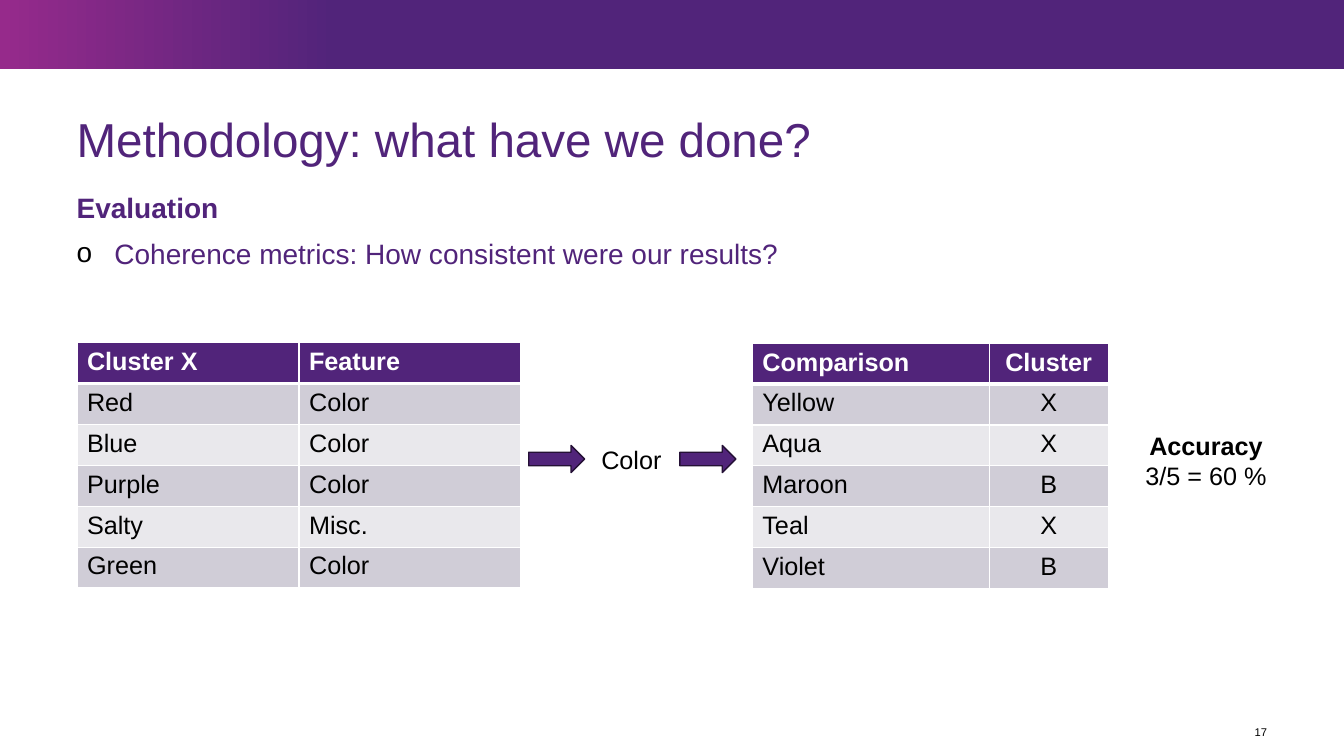
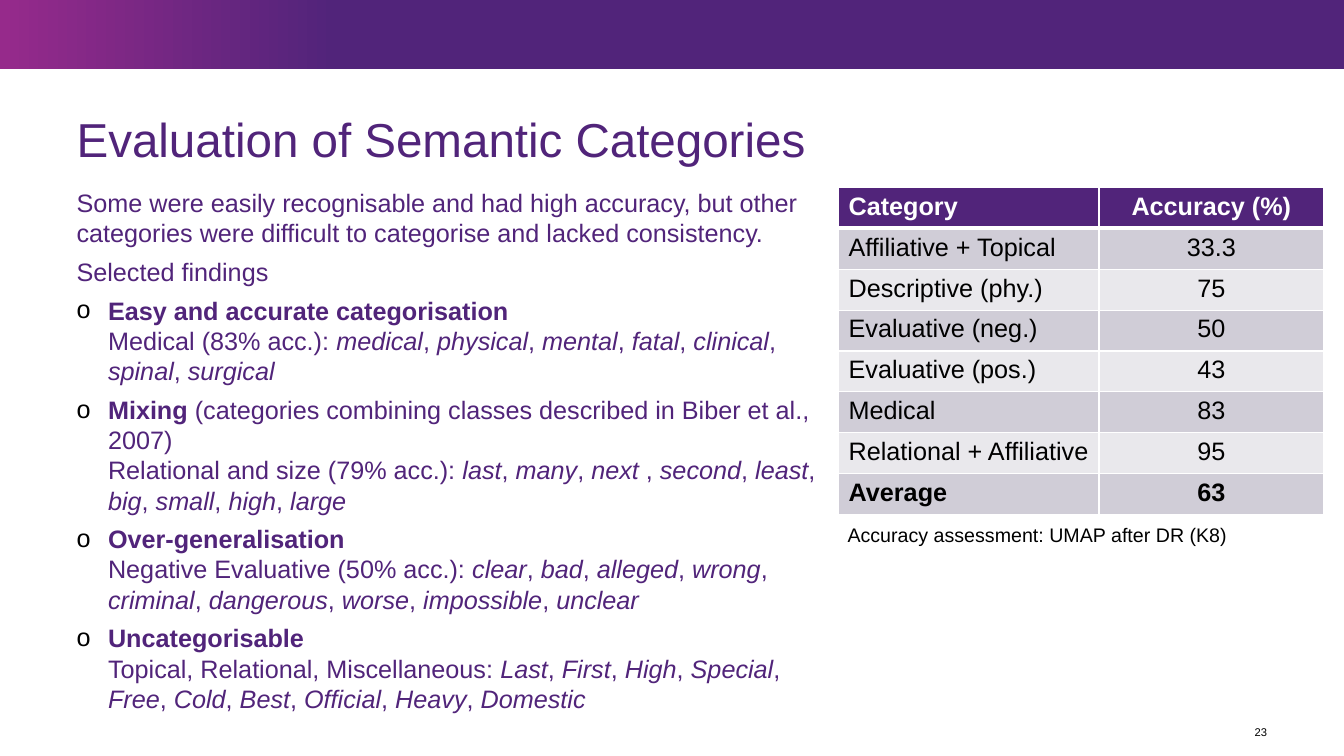
from lxml.etree import SubElement
from pptx import Presentation
from pptx.dml.color import RGBColor
from pptx.enum.shapes import MSO_SHAPE
from pptx.enum.text import MSO_ANCHOR, PP_ALIGN
from pptx.oxml.ns import qn
from pptx.util import Pt

FONT = "Arial"
PURPLE, PINK, EDGE = "51247A", "962A8B", "241035"
BLACK, WHITE = "000000", "FFFFFF"
BANDS = "D0CDD7", "E9E8EC"
LEFT, WIDTH, TOP = 54.7, 850.3, 133.9
ROW = 29.2


def hue(code):
    return RGBColor.from_string(code)


def apply(thing, values):
    for name, value in values.items():
        setattr(thing, name, value)


def add_runs(para, text, size, color, bold=False):
    for i, chunk in enumerate(text.split("*")):
        for j, part in enumerate(chunk.split("_")):
            for k, line in enumerate(part.split("\n")):
                if k:
                    para.add_line_break()
                if not line:
                    continue
                run = para.add_run()
                run.text = line
                apply(run.font, {"name": FONT, "size": Pt(size),
                                 "bold": bold or i % 2 == 1, "italic": j % 2 == 1})
                run.font.color.rgb = hue(color)


def add_bullet(para, hang):
    props = para._p.get_or_add_pPr()
    props.set("marL", str(Pt(hang)))
    props.set("indent", str(-Pt(hang)))
    tint = SubElement(props, qn("a:buClr"))
    SubElement(tint, qn("a:srgbClr"), val=BLACK)
    SubElement(props, qn("a:buFont"), typeface=FONT)
    SubElement(props, qn("a:buChar"), char="o")


def add_text(slide, box, lines, size=18, color=BLACK, inset=(0, 0), hang=0,
             gap=0, anchor=MSO_ANCHOR.TOP, **style):
    frame = slide.shapes.add_textbox(*map(Pt, box)).text_frame
    side, edge = map(Pt, inset)
    apply(frame, {"word_wrap": True, "vertical_anchor": anchor,
                  "margin_left": side, "margin_right": side,
                  "margin_top": edge, "margin_bottom": edge})
    for i, line in enumerate(lines):
        para = frame.add_paragraph() if i else frame.paragraphs[0]
        if line.startswith("- "):
            add_bullet(para, hang)
            line = line[2:]
        apply(para, {"space_before": Pt(gap if i else 0),
                     "space_after": Pt(gap), **style})
        add_runs(para, line, size, color)


def add_body(slide, width, lines, **style):
    add_text(slide, (LEFT, TOP, width, 398), lines, color=PURPLE, gap=3, **style)


def add_note(slide, box, lines, **style):
    add_text(slide, box, lines, inset=(7.2, 3.6), **style)


def add_arrow(slide, left):
    box = map(Pt, (left, 318.2, 39.9, 19.4))
    arrow = slide.shapes.add_shape(MSO_SHAPE.RIGHT_ARROW, *box)
    arrow.shadow.inherit = False
    arrow.fill.solid()
    arrow.fill.fore_color.rgb = hue(PURPLE)
    arrow.line.color.rgb = hue(EDGE)
    arrow.line.width = Pt(1)


def add_edges(cell, top, base):
    props = cell._tc.get_or_add_tcPr()
    for side, width in zip("LRTB", (1, 1, top, base)):
        edge = SubElement(props, qn("a:ln" + side), w=str(Pt(width)))
        fill = SubElement(edge, qn("a:solidFill"))
        SubElement(fill, qn("a:srgbClr"), val=WHITE)


def add_grid(slide, left, top, widths, rows, head=ROW, aligns=(PP_ALIGN.LEFT, PP_ALIGN.CENTER)):
    high = head + ROW * (len(rows) - 1)
    box = map(Pt, (left, top, sum(widths), high))
    grid = slide.shapes.add_table(len(rows), len(widths), *box).table
    grid.horz_banding = False
    for col, width in zip(grid.columns, widths):
        col.width = Pt(width)
    for i, row in enumerate(rows):
        grid.rows[i].height = Pt(ROW if i else head)
        for j, text in enumerate(row):
            cell = grid.cell(i, j)
            add_edges(cell, 3 if i == 1 else 1, 1 if i else 3)
            cell.fill.solid()
            cell.fill.fore_color.rgb = hue(BANDS[(i - 1) % 2] if i else PURPLE)
            para = cell.text_frame.paragraphs[0]
            para.alignment = aligns[j]
            add_runs(para, text, 18, BLACK if i else WHITE, bold=not i)


def add_band(slide):
    band = slide.shapes.add_shape(MSO_SHAPE.RECTANGLE, 0, 0, Pt(960), Pt(49.5))
    band.shadow.inherit = False
    band.line.fill.background()
    band.fill.gradient()
    band.fill.gradient_angle = 0
    for stop, place, code in zip(band.fill.gradient_stops, (0, 0.25), (PINK, PURPLE)):
        stop.color.rgb = hue(code)
        stop.position = place


def add_page(deck, title, number):
    slide = deck.slides.add_slide(deck.slide_layouts[6])
    add_band(slide)
    add_text(slide, (LEFT, 82.8, WIDTH, 36.7), [title], size=34, color=PURPLE,
             anchor=MSO_ANCHOR.MIDDLE, line_spacing=0.9)
    add_text(slide, (882.7, 513.4, 22.3, 18.7), [number], size=8,
             anchor=MSO_ANCHOR.MIDDLE, alignment=PP_ALIGN.RIGHT)
    return slide


def add_method(deck):
    slide = add_page(deck, "Methodology: what have we done?", "17")
    add_body(slide, WIDTH, [
        "*Evaluation*",
        "- Coherence metrics: How consistent were our results?",
    ], size=20, hang=27, line_spacing=1.1)
    add_grid(slide, 55, 244.8, (158.6, 158.6), [
        ("Cluster X", "Feature"),
        ("Red", "Color"),
        ("Blue", "Color"),
        ("Purple", "Color"),
        ("Salty", "Misc."),
        ("Green", "Color"),
    ], aligns=(PP_ALIGN.LEFT, PP_ALIGN.LEFT))
    for left in (377.7, 485.7):
        add_arrow(slide, left)
    add_note(slide, (422.4, 314, 73.4, 29), ["Color"])
    add_grid(slide, 537.4, 245.5, (169.2, 85), [
        ("Comparison", "Cluster"),
        ("Yellow", "X"),
        ("Aqua", "X"),
        ("Maroon", "B"),
        ("Teal", "X"),
        ("Violet", "B"),
    ], head=28)
    add_note(slide, (795.2, 303.8, 132.5, 51), ["*Accuracy*\n3/5 = 60 %"],
             alignment=PP_ALIGN.CENTER)


def add_result(deck):
    slide = add_page(deck, "Evaluation of Semantic Categories", "23")
    add_body(slide, 532.8, [
        "Some were easily recognisable and had high accuracy, but other categories "
        "were difficult to categorise and lacked consistency.",
        "Selected findings",
        "- *Easy and accurate categorisation*\nMedical (83% acc.): _medical_, _physical_, "
        "_mental_, _fatal_, _clinical_, _spinal_, _surgical_",
        "- *Mixing* (categories combining classes described in Biber et al., 2007)\n"
        "Relational and size (79% acc.): _last_, _many_, _next_ , _second_, _least_, "
        "_big_, _small_, _high_, _large_",
        "- *Over-generalisation*\nNegative Evaluative (50% acc.): _clear_, _bad_, "
        "_alleged_, _wrong_, _criminal_, _dangerous_, _worse_, _impossible_, _unclear_",
        "- *Uncategorisable*\nTopical, Relational, Miscellaneous: _Last_, _First_, "
        "_High_, _Special_, _Free_, _Cold_, _Best_, _Official_, _Heavy_, _Domestic_",
    ], hang=22.5)
    add_grid(slide, 599, TOP, (186, 160.6), [
        ("Category", "Accuracy (%)"),
        ("Affiliative + Topical", "33.3"),
        ("Descriptive (phy.)", "75"),
        ("Evaluative (neg.)", "50"),
        ("Evaluative (pos.)", "43"),
        ("Medical", "83"),
        ("Relational + Affiliative", "95"),
        ("*Average*", "*63*"),
    ])
    add_note(slide, (598.3, 370.1, 339.8, 24.2),
             ["Accuracy assessment: UMAP after DR (K8)"], size=14)


def main():
    deck = Presentation()
    apply(deck, {"slide_width": Pt(960), "slide_height": Pt(540)})
    add_method(deck)
    add_result(deck)
    deck.save("out.pptx")


if __name__ == "__main__":
    main()
